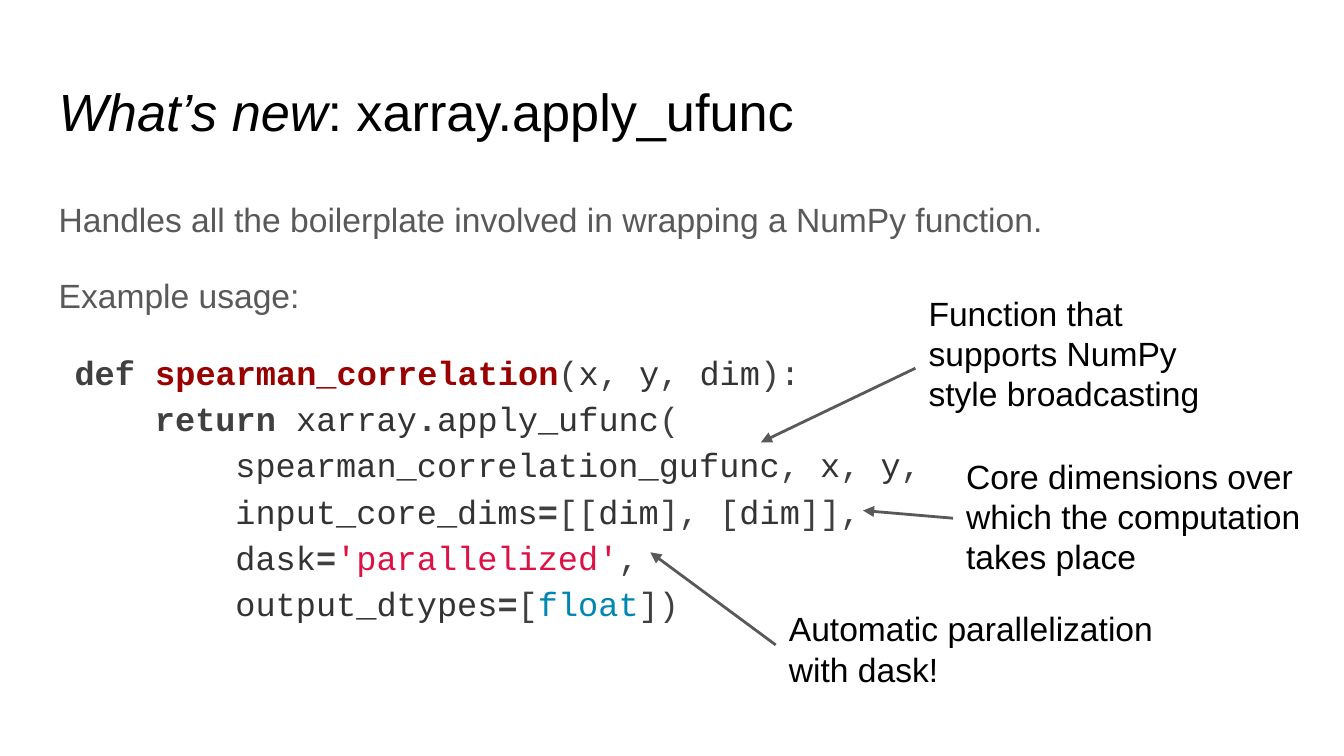
from typing import NamedTuple, Optional

from lxml import etree
from pptx import Presentation
from pptx.dml.color import RGBColor
from pptx.enum.shapes import MSO_CONNECTOR
from pptx.enum.text import MSO_ANCHOR, MSO_AUTO_SIZE, PP_ALIGN
from pptx.oxml.ns import qn
from pptx.util import Cm, Pt

STRAIGHT = MSO_CONNECTOR.STRAIGHT
TOP, LEFT = MSO_ANCHOR.TOP, PP_ALIGN.LEFT
NO_AUTOFIT = MSO_AUTO_SIZE.NONE
LEFT_SIDE = 1
TITLE_ONLY = 5

SANS, MONO = "Arial", "Courier New"
BLACK, GREY = "000000", "595959"
CODE_MARGIN, CODE_STEP = 0.3, 1.52
INSET = 0.25


class Format(NamedTuple):
    color: str
    bold: bool = False
    italic: bool = False
    name: str = SANS
    size: float = 18


class Span(NamedTuple):
    text: str
    format: Format


class CodeLine(NamedTuple):
    level: int
    spans: list[Span]


class Callout(NamedTuple):
    text: str
    left: float
    top: float
    width: float
    height: float
    tip: tuple[float, float]
    start_y: Optional[float] = None  # None: middle of the left side


MARK = Format("404040", name=MONO)
STRONG = MARK._replace(bold=True)
NAME = MARK._replace(color="333333")
DEFINED = STRONG._replace(color="990000")
STRING = MARK._replace(color="DD1144")
BUILTIN = MARK._replace(color="0086B3")
PROSE = Format(GREY)
HEADING = Format(BLACK, size=28)

TITLE = [
    Span("What’s new", HEADING._replace(italic=True)),
    Span(": xarray.apply_ufunc", HEADING),
]
INTRO = [
    "Handles all the boilerplate involved in wrapping a NumPy function.",
    "Example usage:",
]
COMMA = Span(", ", MARK)
EQUALS = Span("=", STRONG)
X, Y, DIM = (Span(word, NAME) for word in ("x", "y", "dim"))
CODE = [
    CodeLine(0, [Span("def ", STRONG), Span("spearman_correlation", DEFINED),
                 Span("(", MARK), X, COMMA, Y, COMMA, DIM, Span("):", MARK)]),
    CodeLine(1, [Span("return ", STRONG), Span("xarray", NAME), Span(".", STRONG),
                 Span("apply_ufunc", NAME), Span("(", MARK)]),
    CodeLine(2, [Span("spearman_correlation_gufunc", NAME), COMMA, X, COMMA, Y,
                 Span(",", MARK)]),
    CodeLine(2, [Span("input_core_dims", NAME), EQUALS, Span("[[", MARK), DIM,
                 Span("], [", MARK), DIM, Span("]],", MARK)]),
    CodeLine(2, [Span("dask", NAME), EQUALS, Span("'parallelized'", STRING),
                 Span(",", MARK)]),
    CodeLine(2, [Span("output_dtypes", NAME), EQUALS, Span("[", MARK),
                 Span("float", BUILTIN), Span("])", MARK)]),
]
CALLOUTS = [
    Callout("Core dimensions over which the computation takes place",
            18.01, 8.36, 6.99, 2.87, (16.31, 9.65)),
    Callout("Function that supports NumPy style broadcasting",
            17.3, 5.28, 6.45, 2.36, (14.38, 8.36), start_y=6.96),
    Callout("Automatic parallelization with dask!",
            14.66, 11.25, 7.85, 1.88, (12.29, 10.44)),
]


def rgb(color: str) -> RGBColor:
    return RGBColor.from_string(color)


def set_frame(frame) -> None:
    """Wrap the text, align it to the top and give it equal insets."""
    values = {"word_wrap": True, "auto_size": NO_AUTOFIT, "vertical_anchor": TOP}
    values |= {f"margin_{side}": Cm(INSET)
               for side in ("left", "top", "right", "bottom")}
    for attribute, value in values.items():
        setattr(frame, attribute, value)


def add_box(page, left: float, top: float, width: float, height: float):
    box = page.shapes.add_textbox(Cm(left), Cm(top), Cm(width), Cm(height))
    set_frame(box.text_frame)
    return box


def write_spans(para, spans: list[Span]) -> None:
    para.alignment = LEFT
    for span in spans:
        run = para.add_run()
        run.text = span.text
        values = span.format._asdict()
        run.font.color.rgb = rgb(values.pop("color"))
        values["size"] = Pt(values["size"])
        for attribute, value in values.items():
            setattr(run.font, attribute, value)


def write_title(title) -> None:
    place = {"left": 0.86, "top": 1.24, "width": 23.67, "height": 1.6}
    for attribute, value in place.items():
        setattr(title, attribute, Cm(value))
    set_frame(title.text_frame)
    write_spans(title.text_frame.paragraphs[0], TITLE)


def write_body(page) -> None:
    frame = add_box(page, 0.86, 3.4, 23.67, 9.5).text_frame
    lines = [CodeLine(0, [Span(text, PROSE)]) for text in INTRO] + CODE
    for index, line in enumerate(lines):
        para = frame.add_paragraph() if index else frame.paragraphs[0]
        para.line_spacing = 1.15
        para.space_before = Pt(16 if 0 < index <= len(INTRO) else 0)
        if index >= len(INTRO):
            indent = Cm(CODE_MARGIN + line.level * CODE_STEP)
            para._p.get_or_add_pPr().set("marL", str(indent))
        write_spans(para, line.spans)


def add_callout(page, callout: Callout) -> None:
    box = add_box(page, callout.left, callout.top, callout.width, callout.height)
    write_spans(box.text_frame.paragraphs[0], [Span(callout.text, Format(BLACK))])

    start_y = callout.start_y or callout.top + callout.height / 2
    tip_x, tip_y = callout.tip
    arrow = page.shapes.add_connector(
        STRAIGHT, Cm(callout.left), Cm(start_y), Cm(tip_x), Cm(tip_y))
    if callout.start_y is None:
        arrow.begin_connect(box, LEFT_SIDE)
    arrow.line.color.rgb = rgb(GREY)
    arrow.line.width = Pt(1.5)
    etree.SubElement(arrow.line._get_or_add_ln(), qn("a:tailEnd"), type="triangle")
    etree.SubElement(arrow._element.spPr, qn("a:effectLst"))


def main() -> None:
    deck = Presentation()
    deck.slide_width, deck.slide_height = Cm(25.4), Cm(14.29)
    page = deck.slides.add_slide(deck.slide_layouts[TITLE_ONLY])
    write_title(page.shapes.title)
    write_body(page)
    for callout in CALLOUTS:
        add_callout(page, callout)
    deck.save("out.pptx")


if __name__ == "__main__":
    main()
